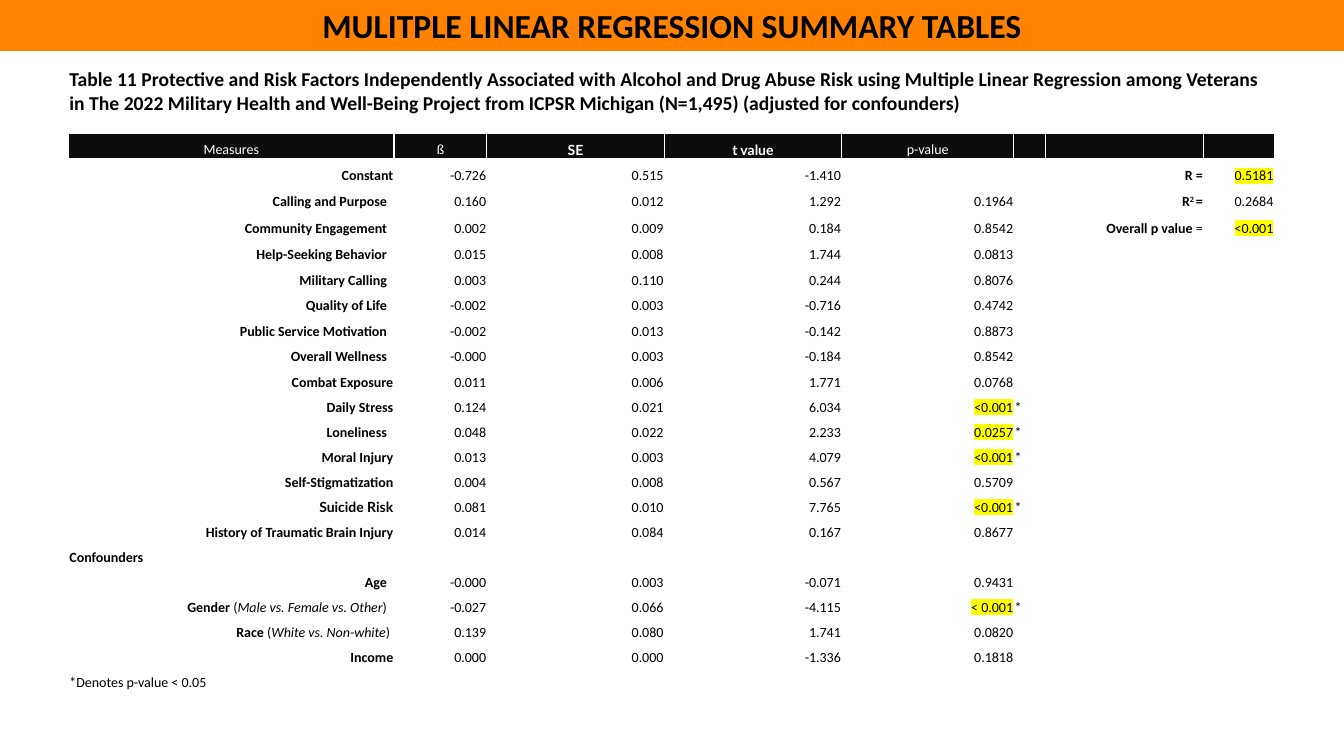
"""Build the slide with the multiple linear regression summary table."""
from lxml import etree
from pptx import Presentation
from pptx import util as u
from pptx.dml.color import RGBColor
from pptx.enum import text
from pptx.oxml.ns import qn

BLACK, WHITE, ORANGE, YELLOW, HEADER = "000000", "FFFFFF", "FF8300", "FFFF00", "0D0D0D"
LEFT, CENTER, RIGHT = text.PP_ALIGN.LEFT, text.PP_ALIGN.CENTER, text.PP_ALIGN.RIGHT


def rgb(value):
    return RGBColor.from_string(value)


def write(p, words, size=10, font="Calibri", color=BLACK, bold=False, italic=False,
          align=RIGHT, highlight=None, baseline=None):
    p.alignment = align
    r = p.add_run()
    r.text = words
    f = r.font
    f.size, f.bold, f.italic = u.Pt(size), bold, italic
    f.color.rgb = rgb(color)
    rPr = r._r.get_or_add_rPr()
    if highlight:
        mark = etree.SubElement(rPr, qn("a:highlight"))
        etree.SubElement(mark, qn("a:srgbClr"), val=highlight)
    if baseline:
        rPr.set("baseline", str(baseline))
    f.name = font


CAPTION = ("Table 11 Protective and Risk Factors Independently Associated with Alcohol and Drug "
           "Abuse Risk using Multiple Linear Regression among Veterans in The 2022 Military Health "
           "and Well-Being Project from ICPSR Michigan (N=1,495) (adjusted for confounders)")
HEADINGS = [("Measures", "Calibri"), ("ß", "Calibri"), ("SE", "Lato"), ("t value", "Lato"),
            ("p-value", "Calibri")]
MEASURES = [
    ("Constant", "-0.726", "0.515", "-1.410", ""),
    ("Calling and Purpose", "0.160", "0.012", "1.292", "0.1964"),
    ("Community Engagement", "0.002", "0.009", "0.184", "0.8542"),
    ("Help-Seeking Behavior", "0.015", "0.008", "1.744", "0.0813"),
    ("Military Calling", "0.003", "0.110", "0.244", "0.8076"),
    ("Quality of Life", "-0.002", "0.003", "-0.716", "0.4742"),
    ("Public Service Motivation", "-0.002", "0.013", "-0.142", "0.8873"),
    ("Overall Wellness", "-0.000", "0.003", "-0.184", "0.8542"),
    ("Combat Exposure", "0.011", "0.006", "1.771", "0.0768"),
    ("Daily Stress", "0.124", "0.021", "6.034", "<0.001", "*"),
    ("Loneliness", "0.048", "0.022", "2.233", "0.0257", "*"),
    ("Moral Injury", "0.013", "0.003", "4.079", "<0.001", "*"),
    ("Self-Stigmatization", "0.004", "0.008", "0.567", "0.5709"),
    ("Suicide Risk", "0.081", "0.010", "7.765", "<0.001", "*"),
    ("History of Traumatic Brain Injury", "0.014", "0.084", "0.167", "0.8677"),
    ("Confounders",),
    ("Age", "-0.000", "0.003", "-0.071", "0.9431"),
    ("Gender (Male vs. Female vs. Other)", "-0.027", "0.066", "-4.115", "< 0.001", "*"),
    ("Race (White vs. Non-white)", "0.139", "0.080", "1.741", "0.0820"),
    ("Income", "0.000", "0.000", "-1.336", "0.1818"),
    ("*Denotes p-value < 0.05",),
]
INDENTED = {"Calling and Purpose", "Community Engagement", "Help-Seeking Behavior",
            "Military Calling", "Quality of Life", "Public Service Motivation",
            "Overall Wellness", "Loneliness", "Age", "Gender", "Race"}
MODEL_FIT = [
    ([("R =", dict(bold=True))], "0.5181", YELLOW),
    ([("R", dict(bold=True)), ("2 ", dict(bold=True, baseline=30000)), ("=", dict(bold=True))],
     "0.2684", None),
    ([("Overall p value ", dict(bold=True)), ("=", {})], "<0.001", YELLOW),
]
COL_WIDTHS = [8.2, 2.34, 4.47, 4.47, 4.34, 0.79, 3.99, 1.78]
ROW_HEIGHTS = [1.65, 0.64] + [0.66] * 5 + [0.64] * 4 + [0.63] * 12 + [1.12]

prs = Presentation()
prs.slide_width, prs.slide_height = u.Cm(33.87), u.Cm(19.05)
s = prs.slides.add_slide(prs.slide_layouts[5])

title = s.shapes.title
title.left, title.top, title.width, title.height = 0, 0, prs.slide_width, u.Cm(1.28)
title.fill.solid()
title.fill.fore_color.rgb = rgb(ORANGE)
tf = title.text_frame
tf.auto_size = text.MSO_AUTO_SIZE.NONE
tf.vertical_anchor = text.MSO_ANCHOR.MIDDLE
write(tf.paragraphs[0], "MULITPLE LINEAR REGRESSION SUMMARY TABLES", size=24, bold=True,
      align=CENTER)

table = s.shapes.add_table(len(ROW_HEIGHTS), len(COL_WIDTHS), u.Cm(1.73), u.Cm(1.7),
                           u.Cm(sum(COL_WIDTHS)), u.Cm(sum(ROW_HEIGHTS))).table
table.first_row = table.horz_banding = False
for column, width in zip(table.columns, COL_WIDTHS):
    column.width = u.Cm(width)
for row, height in zip(table.rows, ROW_HEIGHTS):
    row.height = u.Cm(height)

for i, row in enumerate(table.rows):
    for cell in row.cells:
        cell.margin_left = cell.margin_right = cell.margin_top = u.Cm(0.02)
        cell.margin_bottom = 0
        cell.vertical_anchor = text.MSO_ANCHOR.BOTTOM
        tcPr = cell._tc.get_or_add_tcPr()
        for side in ("a:lnL", "a:lnR", "a:lnT", "a:lnB"):
            ln = etree.SubElement(tcPr, qn(side), w=str(u.Pt(1)))
            etree.SubElement(etree.SubElement(ln, qn("a:solidFill")), qn("a:srgbClr"), val=WHITE)
        cell.fill.solid()
        cell.fill.fore_color.rgb = rgb(HEADER if i == 1 else WHITE)
        cell.text_frame.paragraphs[0]._p.get_or_add_endParaRPr().set("sz", "1000")

for i in (0, len(ROW_HEIGHTS) - 1):
    table.cell(i, 0).merge(table.cell(i, len(COL_WIDTHS) - 1))
caption = table.cell(0, 0)
caption.vertical_anchor = text.MSO_ANCHOR.TOP
write(caption.text_frame.paragraphs[0], CAPTION, size=14, bold=True, align=LEFT)

for j, (heading, font) in enumerate(HEADINGS):
    write(table.cell(1, j).text_frame.paragraphs[0], heading, font=font, color=WHITE,
          bold=font == "Lato", align=CENTER)

for i, (label, *values) in enumerate(MEASURES, start=2):
    cell = table.cell(i, 0)
    p = cell.text_frame.paragraphs[0]
    name, bracket, groups = label.partition(" (")
    if name in INDENTED:
        cell.margin_right = u.Cm(0.1 if name == "Race" else 0.18)
    write(p, name, bold=not name.startswith("*"), align=RIGHT if values else LEFT,
          font="Lato" if name == "Suicide Risk" else "Calibri")
    if bracket:
        write(p, bracket)
        write(p, groups.rstrip(")"), italic=True)
        write(p, ")")
    for j, value in enumerate(values, start=1):
        if value:
            write(table.cell(i, j).text_frame.paragraphs[0], value,
                  align=LEFT if value == "*" else RIGHT,
                  highlight=YELLOW if j == 4 and "*" in values else None)

for i, (runs, value, highlight) in enumerate(MODEL_FIT, start=2):
    for words, style in runs:
        write(table.cell(i, 6).text_frame.paragraphs[0], words, **style)
    write(table.cell(i, 7).text_frame.paragraphs[0], value, highlight=highlight)

prs.save("out.pptx")
